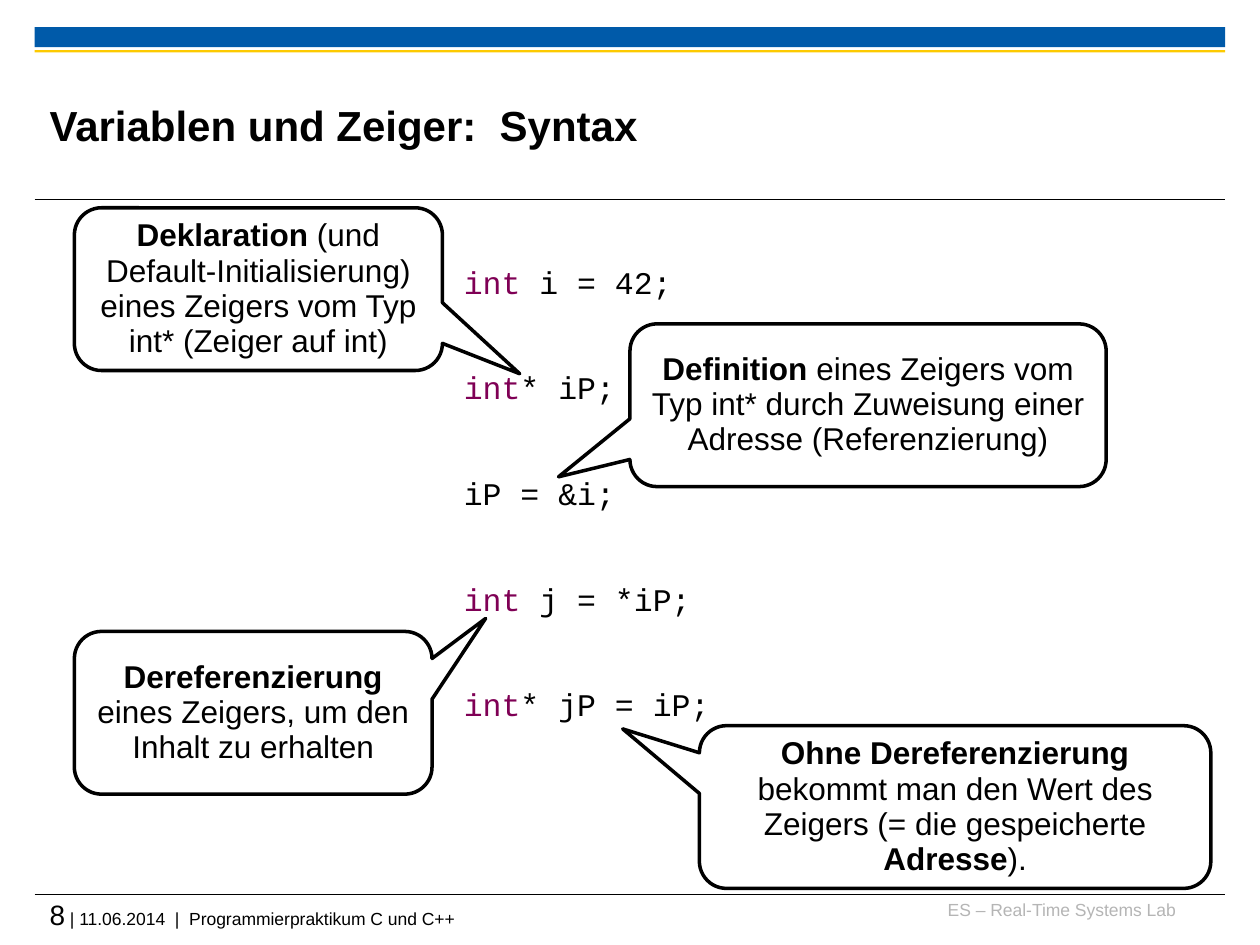
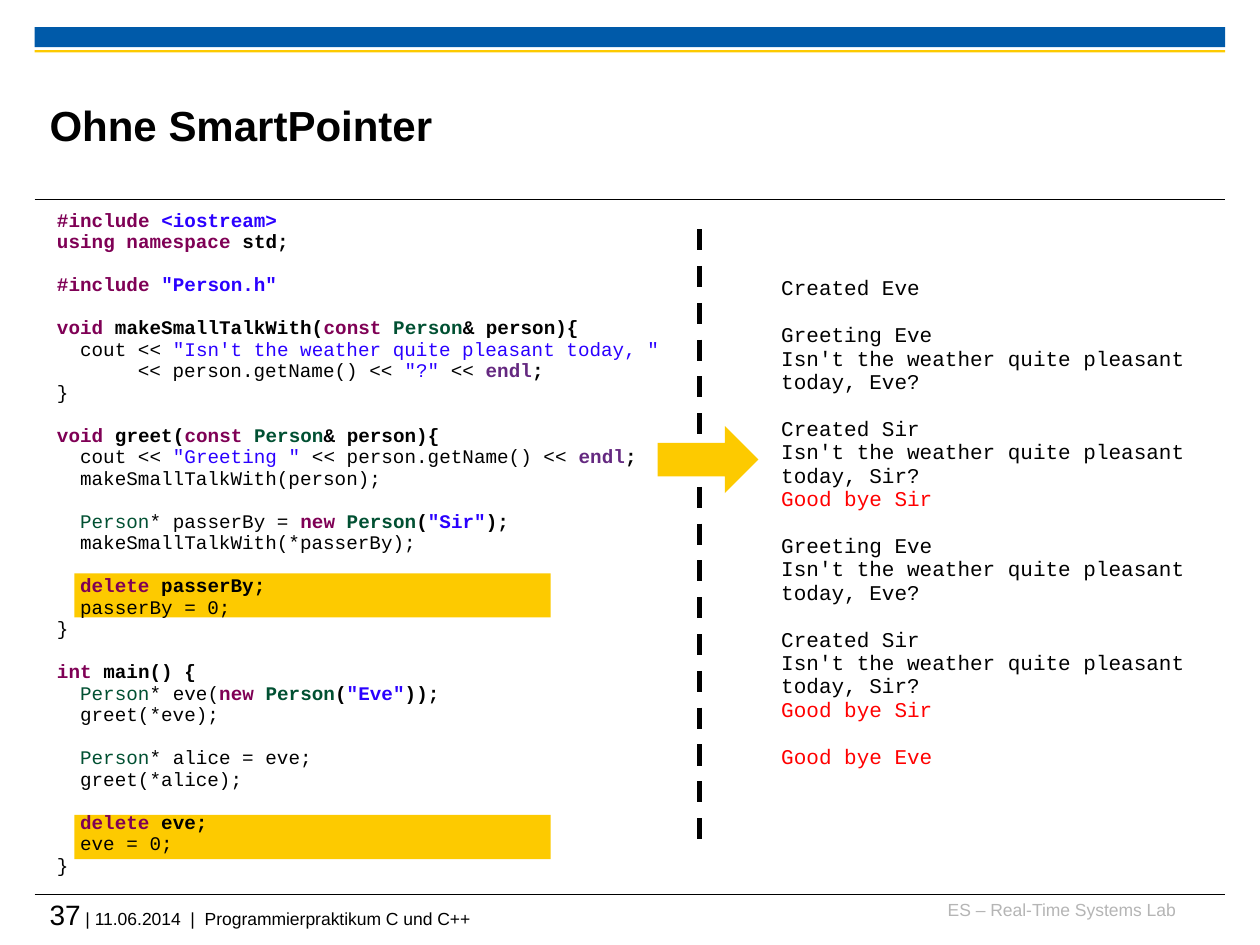
from pptx import Presentation
from pptx.dml.color import RGBColor
from pptx.enum.dml import MSO_LINE
from pptx.enum.shapes import MSO_CONNECTOR, MSO_SHAPE
from pptx.enum.text import MSO_ANCHOR, PP_ALIGN
from pptx.oxml.ns import qn
from pptx.util import Cm, Pt
from lxml import etree

BLACK = RGBColor(0x00, 0x00, 0x00)
WHITE = RGBColor(0xFF, 0xFF, 0xFF)
BLUE = RGBColor(0x00, 0x5A, 0xA9)
YELLOW = RGBColor(0xFD, 0xCA, 0x00)
GREY = RGBColor(0xB5, 0xB5, 0xB5)
RED = RGBColor(0xFF, 0x00, 0x00)
KEYWORD = RGBColor(0x7F, 0x00, 0x55)
STRING = RGBColor(0x2A, 0x00, 0xFF)
TYPE = RGBColor(0x00, 0x50, 0x32)
ENDL = RGBColor(0x64, 0x28, 0x80)

STRAIGHT = MSO_CONNECTOR.STRAIGHT
RECTANGLE = MSO_SHAPE.RECTANGLE
ARROW = MSO_SHAPE.RIGHT_ARROW
CALLOUT = MSO_SHAPE.ROUNDED_RECTANGULAR_CALLOUT
DASH = MSO_LINE.DASH
TOP, MIDDLE = MSO_ANCHOR.TOP, MSO_ANCHOR.MIDDLE
LEFT, CENTER, RIGHT = PP_ALIGN.LEFT, PP_ALIGN.CENTER, PP_ALIGN.RIGHT

TIGHT = 0.93        # line spacing of code and callouts
BLANK_LINE = 1.12   # height of one skipped line of code, per point of size
CHAR_WIDTH = 0.6    # width of one monospaced letter, per point of size

# Style name: (colour, bold)
STYLES = {
    "plain": (BLACK, False), "bold": (BLACK, True),
    "word": (KEYWORD, False), "key": (KEYWORD, True),
    "string": (STRING, False), "bold string": (STRING, True),
    "type": (TYPE, False), "bold type": (TYPE, True),
    "endl": (ENDL, True), "red": (RED, False), "grey": (GREY, False),
}

# ---- Content: a line is (blank lines above, indent in letters, spans) ----
FOOTER = " | 11.06.2014  |  Programmierpraktikum C und C++"
LAB = "ES – Real-Time Systems Lab"

POINTER_CODE = [
    (0, 0, [("int", "word"), " i = 42;"]),
    (2, 0, [("int", "word"), "* iP;"]),
    (2, 0, ["iP = &i;"]),
    (2, 0, [("int", "word"), " j = *iP;"]),
    (2, 0, [("int", "word"), "* jP = iP;"]),
]

# (left, top, width), (tip x, tip y), spans
CALLOUTS = [
    ((1.5, 4.19, 7.42), (0.71, 0.52),
     [("Deklaration", "bold"),
      " (und Default-Initialisierung) eines Zeigers vom Typ int* (Zeiger auf int)"]),
    ((12.7, 6.53, 9.6), (-0.65, 0.44),
     [("Definition", "bold"),
      " eines Zeigers vom Typ int* durch Zuweisung einer Adresse (Referenzierung)"]),
    ((1.5, 12.73, 7.21), (0.65, -0.58),
     [("Dereferenzierung", "bold"), " eines Zeigers, um den Inhalt zu erhalten"]),
    ((14.1, 14.63, 10.31), (-0.65, -0.48),
     [("Ohne Dereferenzierung ", "bold"),
      "bekommt man den Wert des Zeigers (= die gespeicherte ",
      ("Adresse", "bold"), ")."]),
]
CALLOUT_HEIGHT = 3.28

PERSON_PARAMETER = [("const ", "key"), ("Person", "bold type"), ("& person){", "bold")]
ENDL_SPANS = [("endl", "endl"), (";", "bold")]


def new_person(name, closing):
    return [("new ", "key"), ("Person", "bold type"), ("(", "bold"),
            (f'"{name}"', "bold string"), (closing, "bold")]


PERSON_CODE = [
    (0, 0, [("#include ", "key"), ("<iostream>", "bold string")]),
    (0, 0, [("using namespace", "key"), (" std;", "bold")]),
    (1, 0, [("#include ", "key"), ('"Person.h"', "bold string")]),
    (1, 0, [("void", "key"), (" makeSmallTalkWith(", "bold"), *PERSON_PARAMETER]),
    (0, 2, ["cout << ", ('"Isn\'t the weather quite pleasant today, "', "string")]),
    (0, 7, ["<< person.getName() << ", ('"?"', "string"), " << ", *ENDL_SPANS]),
    (0, 0, ["}"]),
    (1, 0, [("void", "key"), (" greet(", "bold"), *PERSON_PARAMETER]),
    (0, 2, ["cout << ", ('"Greeting "', "string"), " << person.getName() << ",
            *ENDL_SPANS]),
    (0, 2, ["makeSmallTalkWith(person);"]),
    (1, 2, [("Person", "type"), "* passerBy = ", *new_person("Sir", ");")]),
    (0, 2, ["makeSmallTalkWith(*passerBy);"]),
    (1, 2, [("delete", "key"), (" passerBy;", "bold")]),
    (0, 2, ["passerBy = 0;"]),
    (0, 0, ["}"]),
    (1, 0, [("int", "key"), (" main() {", "bold")]),
    (0, 2, [("Person", "type"), "* eve(", *new_person("Eve", "));")]),
    (0, 2, ["greet(*eve);"]),
    (1, 2, [("Person", "type"), "* alice = eve;"]),
    (0, 2, ["greet(*alice);"]),
    (1, 2, [("delete", "key"), (" eve;", "bold")]),
    (0, 2, ["eve = 0;"]),
    (0, 0, ["}"]),
]
DELETE_TOPS = [11.56, 16.43]

SIR_VISIT = [
    (1, 0, ["Created Sir"]),
    (0, 0, ["Isn't the weather quite pleasant today, Sir?"]),
    (0, 0, [("Good bye Sir", "red")]),
]
EVE_GREETING = [
    (1, 0, ["Greeting Eve"]),
    (0, 0, ["Isn't the weather quite pleasant today, Eve?"]),
]
OUTPUT = [(0, 0, ["Created Eve"]), *(EVE_GREETING + SIR_VISIT) * 2,
          (1, 0, [("Good bye Eve", "red")])]


# ---- Building blocks ----
def write_text(frame, lines, size=18, font="Arial", align=LEFT, anchor=TOP,
               spacing=None, inset=None):
    frame.word_wrap = True
    frame.vertical_anchor = anchor
    if inset is not None:
        frame.margin_left = frame.margin_right = Cm(inset)
        frame.margin_top = frame.margin_bottom = Cm(inset)
    for number, (blank, indent, spans) in enumerate(lines):
        para = frame.paragraphs[0] if number == 0 else frame.add_paragraph()
        para.alignment = align
        if spacing:
            para.line_spacing = spacing
        if blank:
            para.space_before = Pt(round(blank * size * BLANK_LINE, 1))
        if indent:
            properties = para._p.get_or_add_pPr()
            properties.set("marL", str(Pt(indent * size * CHAR_WIDTH)))
            properties.set("indent", "0")
        for item in spans:
            words, style, *own_size = (item, "plain") if isinstance(item, str) else item
            span = para.add_run()
            span.text = words
            span.font.name = font
            span.font.size = Pt(own_size[0] if own_size else size)
            span.font.color.rgb, span.font.bold = STYLES[style]


def add_text(page, place, lines, **text_format):
    box = page.shapes.add_textbox(*map(Cm, place))
    write_text(box.text_frame, lines, **text_format)


def add_code(page, place, lines, size):
    add_text(page, place, lines, size=size, font="Courier New", spacing=TIGHT)


def add_block(page, kind, place, fill, line=None):
    block = page.shapes.add_shape(kind, *map(Cm, place))
    block.shadow.inherit = False
    block.fill.solid()
    block.fill.fore_color.rgb = fill
    if line is None:
        block.line.fill.background()
    else:
        block.line.color.rgb = line
        block.line.width = Pt(2)
    return block


def add_line(page, ends, width, dash=None):
    line = page.shapes.add_connector(STRAIGHT, *map(Cm, ends))
    line.line.color.rgb = BLACK
    line.line.width = Pt(width)
    if dash is not None:
        line.line.dash_style = dash
    etree.SubElement(line._element.spPr, qn("a:effectLst"))


def add_page(deck, title, number):
    page = deck.slides.add_slide(deck.slide_layouts[6])
    # Bands and rules
    add_block(page, RECTANGLE, (0.7, 0.55, 24, 0.4), BLUE)
    add_block(page, RECTANGLE, (0.7, 1.01, 24, 0.05), YELLOW)
    for height in (4.03, 18.03):
        add_line(page, (0.7, height, 24.7, height), 0.6)
    # Footer
    add_text(page, (18.7, 18.12, 5, 0.64), [(0, 0, [(LAB, "grey")])],
             size=10, align=RIGHT, inset=0)
    add_text(page, (1, 18.1, 23.7, 0.84),
             [(0, 0, [(str(number), "plain", 16), FOOTER])], size=10, inset=0)
    # Title
    add_text(page, (1, 1.35, 19.1, 2.34), [(0, 0, [(title, "bold")])],
             size=24, anchor=MIDDLE, inset=0)
    return page


# ---- Slides ----
def build_pointer_page(deck):
    page = add_page(deck, "Variablen und Zeiger:  Syntax", 8)
    add_code(page, (9.1, 5.24, 12.7, 9.55), POINTER_CODE, 18)
    for place, tip, spans in CALLOUTS:
        callout = add_block(page, CALLOUT, (*place, CALLOUT_HEIGHT), WHITE, BLACK)
        callout.adjustments[0], callout.adjustments[1] = tip
        write_text(callout.text_frame, [(0, 0, spans)], align=CENTER,
                   anchor=MIDDLE, spacing=TIGHT)


def build_person_page(deck):
    page = add_page(deck, "Ohne SmartPointer", 37)
    for top in DELETE_TOPS:
        add_block(page, RECTANGLE, (1.5, top, 9.6, 0.89), YELLOW)
    add_line(page, (14.1, 4.62, 14.1, 17.12), 3, DASH)
    add_code(page, (0.9, 4.11, 17.2, 13.82), PERSON_CODE, 11)
    add_block(page, ARROW, (13.26, 8.59, 2.03, 1.35), YELLOW)
    add_code(page, (15.5, 5.46, 9.8, 10.29), OUTPUT, 12)


def main():
    deck = Presentation()
    deck.slide_width, deck.slide_height = Cm(25.4), Cm(19.05)
    build_pointer_page(deck)
    build_person_page(deck)
    deck.save("out.pptx")


if __name__ == "__main__":
    main()
